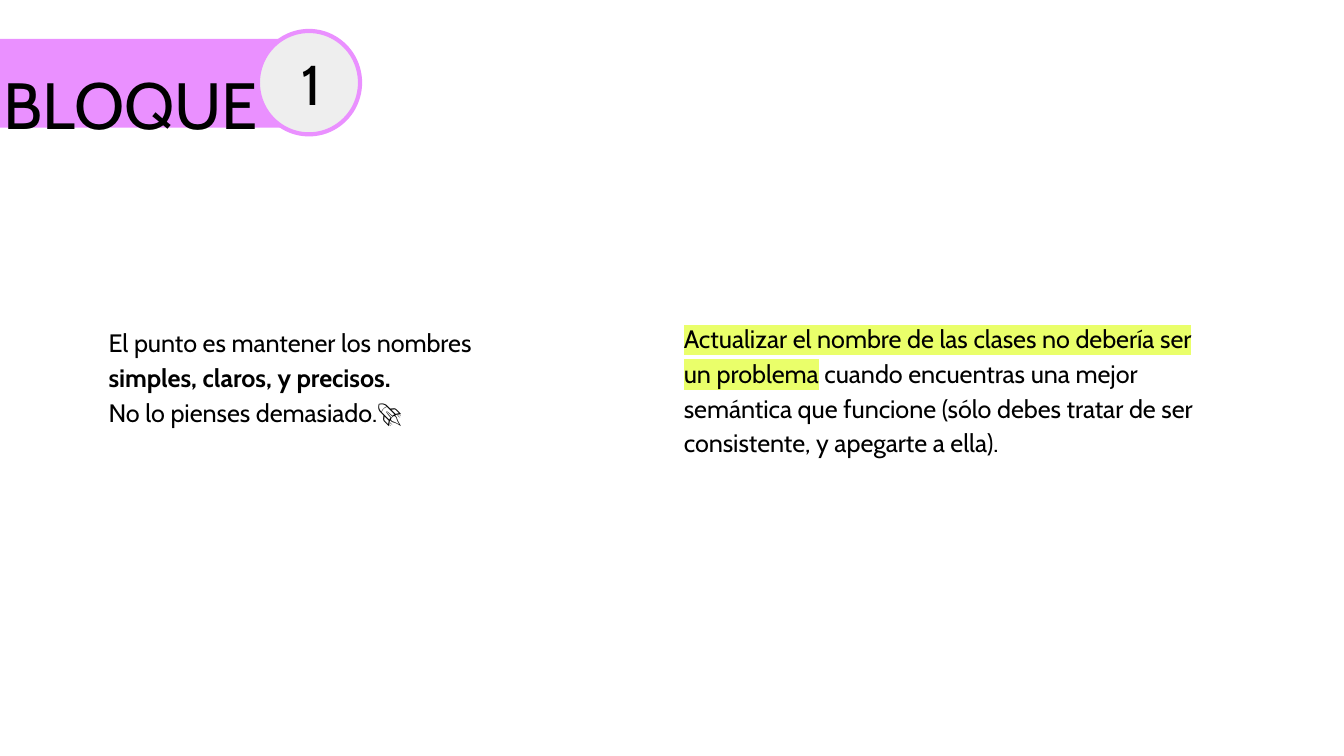
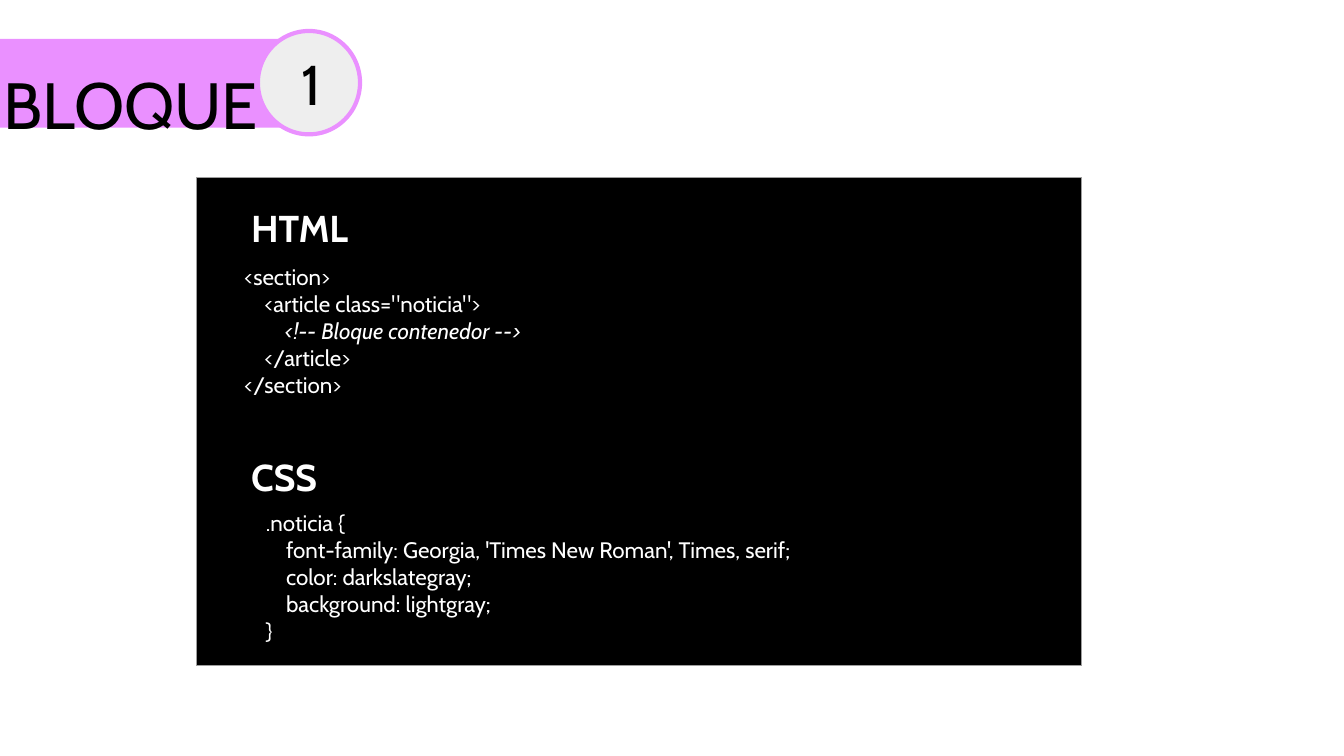
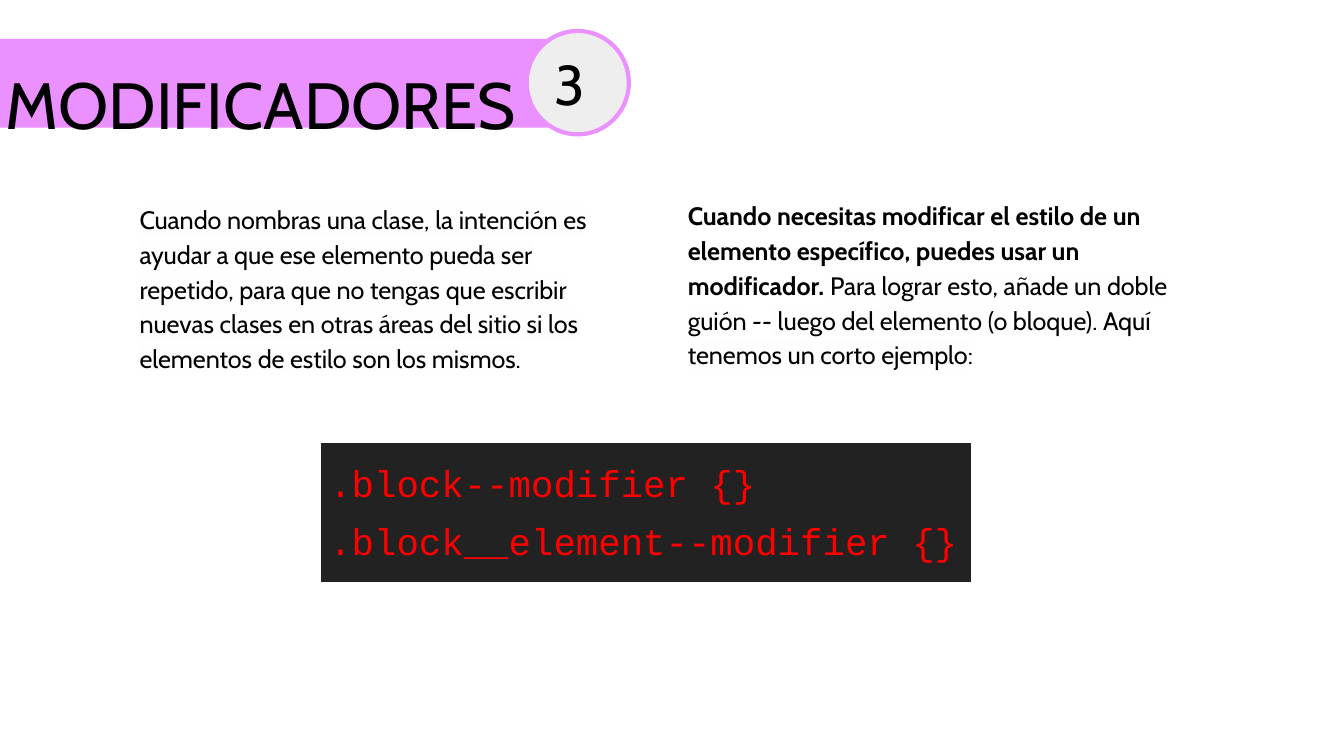
from lxml import etree
from pptx import Presentation
from pptx.dml.color import RGBColor
from pptx.enum import shapes, text
from pptx.oxml import ns
from pptx.util import Pt

BLACK, WHITE, PINK, GREY = "000000", "FFFFFF", "EA90FF", "EEEEEE"
LIME, PAPER, CHARCOAL, RED = "EAFF6A", "FEFEFE", "222222", "FF0000"
INSET = 7.2
LOOSE = 1.15
TOP, MIDDLE = text.MSO_ANCHOR.TOP, text.MSO_ANCHOR.MIDDLE
CENTER, JUSTIFY = text.PP_ALIGN.CENTER, text.PP_ALIGN.JUSTIFY
PROSE = {"size": Pt(13.5), "name": "Cabin"}
CODE = {"size": Pt(12), "name": "Cabin"}
HEADING = {"size": Pt(20), "name": "Cabin", "bold": True}
SAMPLE = {"size": Pt(20), "name": "Courier New"}
TITLE = {"size": Pt(35), "name": "Cabin"}
NUMBER = {"size": Pt(30), "name": "Cabin"}
BOLD, ITALIC = {"bold": True}, {"italic": True}


def color(value):
    return RGBColor.from_string(value)


def assign(target, values):
    for key, value in values.items():
        setattr(target, key, value)


def add_child(parent, tag, **attributes):
    return etree.SubElement(parent, ns.qn(tag), **attributes)


class Deck:
    def __init__(self):
        self.show = Presentation()
        assign(self.show, {"slide_width": Pt(720), "slide_height": Pt(405)})
        self.slide = None

    def new_slide(self):
        self.slide = self.show.slides.add_slide(self.show.slide_layouts[6])

    def fill_text(self, frame, paragraphs, font, ink=BLACK, spacing=None, align=None):
        for index, runs in enumerate(paragraphs):
            paragraph = frame.paragraphs[0] if index == 0 else frame.add_paragraph()
            assign(paragraph, {"line_spacing": spacing, "alignment": align})
            for words, extra, marker in [(runs, {}, None)] if isinstance(runs, str) else runs:
                run = paragraph.add_run()
                run.text = words
                assign(run.font, {**font, **extra})
                run.font.color.rgb = color(ink)
                if marker:
                    fill = run.font._element.find(ns.qn("a:solidFill"))
                    highlight = etree.Element(ns.qn("a:highlight"))
                    add_child(highlight, "a:srgbClr", val=marker)
                    fill.addnext(highlight)

    def frame(self, shape, anchor=TOP, left=INSET, top=INSET, bottom=INSET):
        assign(shape.text_frame, {
            "word_wrap": True, "vertical_anchor": anchor,
            "margin_left": Pt(left), "margin_right": Pt(INSET),
            "margin_top": Pt(top), "margin_bottom": Pt(bottom)})
        return shape.text_frame

    def text(self, box, paragraphs, font, ink=BLACK, spacing=LOOSE, **layout):
        shape = self.slide.shapes.add_textbox(*map(Pt, box))
        self.fill_text(self.frame(shape, **layout), paragraphs, font, ink, spacing)

    def shape(self, kind, box, fill, outline=None):
        shape = self.slide.shapes.add_shape(kind, *map(Pt, box))
        shape.shadow.inherit = False
        shape.fill.solid()
        shape.fill.fore_color.rgb = color(fill)
        if outline:
            shape.line.color.rgb = color(outline)
            shape.line.width = Pt(2.25)
        else:
            shape.line.fill.background()
        return shape

    def header(self, title, number, width, circle_left, number_left=INSET):
        band = self.shape(shapes.MSO_SHAPE.RECTANGLE, (-14.4, 20.9, width, 47.5), PINK)
        self.fill_text(self.frame(band), [title], TITLE, spacing=LOOSE, align=CENTER)
        circle = self.shape(shapes.MSO_SHAPE.OVAL, (circle_left, 16.6, 54.7, 55.4), GREY, PINK)
        self.fill_text(self.frame(circle, MIDDLE, number_left), [number], NUMBER,
                       align=text.PP_ALIGN.LEFT)

    def panel(self, left, top, width, heights, fill, border):
        table = self.slide.shapes.add_table(
            len(heights), 1, Pt(left), Pt(top), Pt(width), Pt(sum(heights))).table
        assign(table, {"first_row": False, "horz_banding": False})
        for row, height in zip(table.rows, heights):
            row.height = Pt(height)
            cell = row.cells[0]
            properties = cell._tc.get_or_add_tcPr()
            for side in ("a:lnL", "a:lnR", "a:lnT", "a:lnB"):
                line = add_child(properties, side, w=str(Pt(0.75)))
                add_child(add_child(line, "a:solidFill"), "a:srgbClr", val=border)
            cell.fill.background()
        first = table.cell(0, 0)
        first.fill.solid()
        first.fill.fore_color.rgb = color(fill)
        return first


def block_header(deck):
    deck.header("BLOQUE", "1", 169.2, 138.2, number_left=15.5)


def naming_slide(deck):
    deck.new_slide()
    deck.text((359.3, 137.5, 288, 62.6), [[
        ("Actualizar el nombre de las clases no debería ser un problema", {}, LIME),
        (" cuando encuentras una mejor semántica que funcione (sólo debes tratar de ser "
         "consistente, y apegarte a ella).", {}, None)]], PROSE, top=33.5)
    deck.text((51.1, 149.8, 292.3, 87.1), [
        "El punto es mantener los nombres",
        [("simples, claros, y precisos.", BOLD, None)],
        "No lo pienses demasiado.🚀"], PROSE, top=23.3)
    block_header(deck)


def block_code_slide(deck):
    deck.new_slide()
    block_header(deck)
    deck.panel(105.4, 95.2, 473.8, [261.4], BLACK, "9E9E9E")
    for language, top in (("CSS", 232.3), ("HTML", 98.9)):
        deck.text((127.4, top, 236.2, 40.3), [language], HEADING, WHITE)
    markup = [
        "<section>",
        '    <article class="noticia">',
        [("        ", {}, None), ("<!-- Bloque contenedor -->", ITALIC, None)],
        "    </article>",
        "</section>"]
    rules = [
        ".noticia {",
        "    font-family: Georgia, 'Times New Roman', Times, serif;",
        "    color: darkslategray;",
        "    background: lightgray;",
        "}"]
    for left, top, listing in ((123.8, 133.9, markup), (135.4, 265.7, rules)):
        deck.text((left, top, 491.8, 87.1), listing, CODE, WHITE, spacing=None)


def modifiers_slide(deck):
    deck.new_slide()
    deck.text((67.7, 85, 277.9, 192.2), [[
        ("Cuando nombras una clase, la intención es ayudar a que ese elemento pueda ser "
         "repetido, para que no tengas que escribir nuevas clases en otras áreas del sitio "
         "si los elementos de estilo son los mismos.", {}, PAPER)]],
        PROSE, anchor=MIDDLE, bottom=62)
    sample = deck.panel(171.4, 236.9, 349.2, [66.2, 25.9], CHARCOAL, WHITE)
    assign(sample, {f"margin_{side}": Pt(5) for side in ("left", "right", "top", "bottom")})
    deck.fill_text(sample.text_frame,
                   [".block--modifier {}", ".block__element--modifier {}"],
                   SAMPLE, RED, 1.36, JUSTIFY)
    deck.header("MODIFICADORES", "3", 308.2, 282.2)
    deck.text((361.4, 97.9, 272.2, 151.9), [[
        ("Cuando necesitas modificar el estilo de un elemento específico, puedes usar un "
         "modificador.", BOLD, None),
        (" Para lograr esto, añade un doble guión", {}, PAPER),
        (" --", ITALIC, None),
        (" luego del elemento (o bloque). Aquí tenemos un corto ejemplo:", {}, PAPER)]], PROSE)


def main():
    deck = Deck()
    naming_slide(deck)
    block_code_slide(deck)
    modifiers_slide(deck)
    deck.show.save("out.pptx")


if __name__ == "__main__":
    main()
